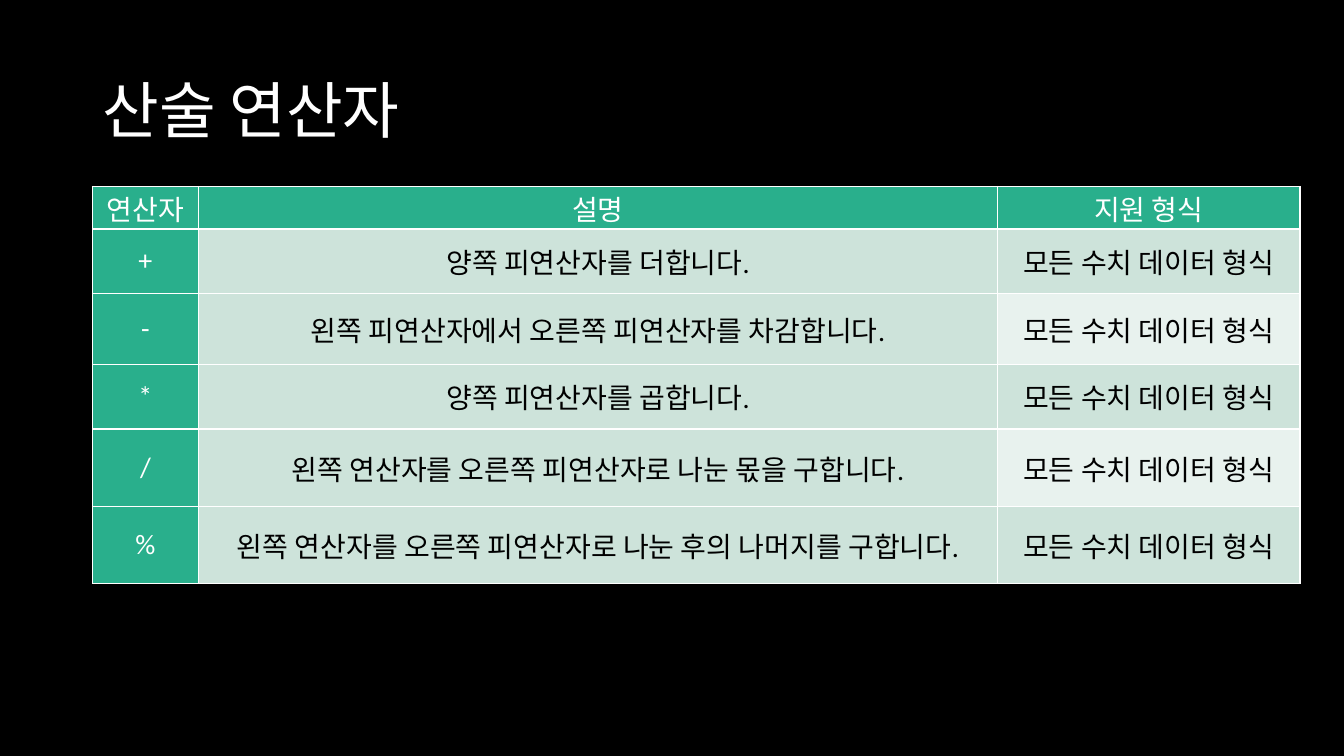
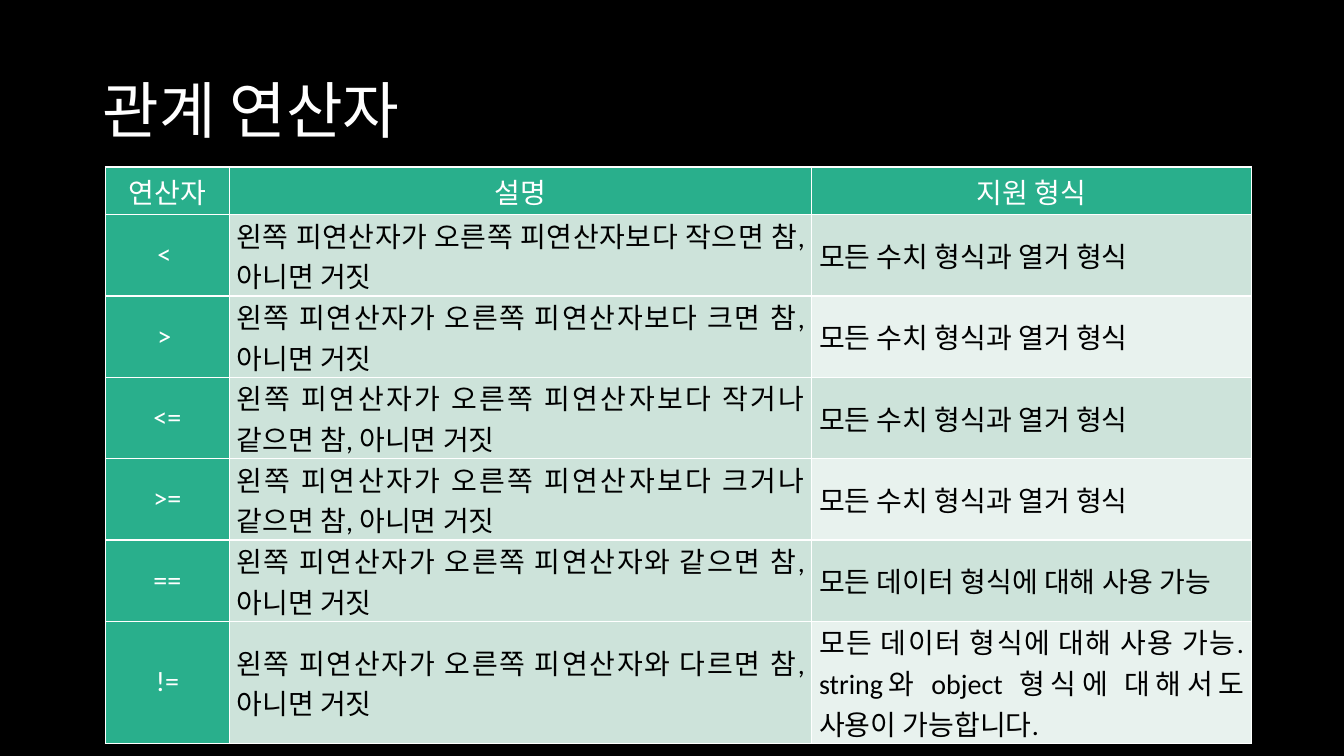
from dataclasses import dataclass
from lxml.etree import SubElement
from pptx import Presentation
from pptx.dml.color import RGBColor
from pptx.enum.text import MSO_ANCHOR, PP_ALIGN
from pptx.oxml.ns import qn
from pptx.util import Cm, Pt


@dataclass(frozen=True)
class Theme:
    font: str = "Calibri"
    title_size: int = 44
    cell_size: int = 20
    border_width: int = 1
    background: str = "000000"
    light: str = "FFFFFF"
    dark: str = "000000"
    accent: str = "29AF8C"
    band: str = "CDE3DA"
    pale_band: str = "E8F2EE"


theme = Theme()


def style_text(para, size, colour, align):
    para.alignment = align
    para.font.name = theme.font
    para.font.size = Pt(size)
    para.font.color.rgb = RGBColor.from_string(colour)


def add_borders(cell):
    properties = cell._tc.get_or_add_tcPr()
    for side in ("lnL", "lnR", "lnT", "lnB"):
        line = SubElement(properties, qn(f"a:{side}"), w=str(Pt(theme.border_width)))
        fill = SubElement(line, qn("a:solidFill"))
        SubElement(fill, qn("a:srgbClr"), val=theme.light)


header = ("연산자", "설명", "지원 형식")
numeric = "모든 수치 데이터 형식"
ordered = "모든 수치 형식과 열거 형식"
any_type = "모든 데이터 형식에 대해 사용 가능"
comparison = "왼쪽 피연산자가 오른쪽 피연산자{} 참, 아니면 거짓"

pages = [
    {
        "title": "산술 연산자",
        "left": 2.33,
        "top": 4.7,
        "columns": (2.67, 20.14, 7.62),
        "heights": (1.07, 1.63, 1.78, 1.63, 1.96, 1.93),
        "align": PP_ALIGN.CENTER,
        "rows": [
            header,
            ("+", "양쪽 피연산자를 더합니다.", numeric),
            ("-", "왼쪽 피연산자에서 오른쪽 피연산자를 차감합니다.", numeric),
            ("*", "양쪽 피연산자를 곱합니다.", numeric),
            ("/", "왼쪽 연산자를 오른쪽 피연산자로 나눈 몫을 구합니다.", numeric),
            ("%", "왼쪽 연산자를 오른쪽 피연산자로 나눈 후의 나머지를 구합니다.", numeric),
        ],
    },
    {
        "title": "관계 연산자",
        "left": 2.66,
        "top": 4.21,
        "columns": (3.12, 14.68, 11.07),
        "heights": (1.2, 1.6, 1.6, 1.6, 1.6, 1.6, 2.41),
        "align": PP_ALIGN.JUSTIFY,
        "rows": [
            header,
            ("<\u00a0", comparison.format("보다 작으면"), ordered),
            (">\u00a0", comparison.format("보다 크면"), ordered),
            ("<=", comparison.format("보다 작거나 같으면"), ordered),
            (">=", comparison.format("보다 크거나 같으면"), ordered),
            ("==", comparison.format("와 같으면"), any_type),
            (
                "!=",
                comparison.format("와 다르면"),
                f"{any_type}. string와 object 형식에 대해서도 사용이 가능합니다.",
            ),
        ],
    },
]

deck = Presentation()
deck.slide_width, deck.slide_height = Cm(33.87), Cm(19.05)
background = deck.slide_master.background.fill
background.solid()
background.fore_color.rgb = RGBColor.from_string(theme.background)
title_only = deck.slide_layouts.get_by_name("Title Only")

for content in pages:
    page = deck.slides.add_slide(title_only)
    title = page.shapes.title
    title.left, title.top, title.width, title.height = Cm(2.33), Cm(1.01), Cm(29.21), Cm(3.68)
    title.text_frame.text = content["title"]
    title.text_frame.vertical_anchor = MSO_ANCHOR.MIDDLE
    title_para = title.text_frame.paragraphs[0]
    title_para.line_spacing = 0.9
    style_text(title_para, theme.title_size, theme.light, PP_ALIGN.LEFT)

    columns, heights, rows = content["columns"], content["heights"], content["rows"]
    table = page.shapes.add_table(
        len(rows), len(columns), Cm(content["left"]), Cm(content["top"]),
        Cm(sum(columns)), Cm(sum(heights)),
    ).table
    for column, width in zip(table.columns, columns):
        column.width = Cm(width)
    for row, height in zip(table.rows, heights):
        row.height = Cm(height)

    for row_index, texts in enumerate(rows):
        for column_index, text in enumerate(texts):
            cell = table.cell(row_index, column_index)
            is_heading = row_index == 0 or column_index == 0
            is_pale = column_index == 2 and row_index % 2 == 0
            body_fill = theme.pale_band if is_pale else theme.band
            cell.text = text
            cell.vertical_anchor = MSO_ANCHOR.MIDDLE
            cell.margin_left = cell.margin_right = Cm(0.18)
            cell.margin_top = cell.margin_bottom = 0
            add_borders(cell)
            cell.fill.solid()
            cell.fill.fore_color.rgb = RGBColor.from_string(
                theme.accent if is_heading else body_fill
            )
            style_text(
                cell.text_frame.paragraphs[0],
                theme.cell_size,
                theme.light if is_heading else theme.dark,
                PP_ALIGN.CENTER if is_heading else content["align"],
            )
            cell.text_frame.paragraphs[0].font.bold = False

deck.save("out.pptx")
